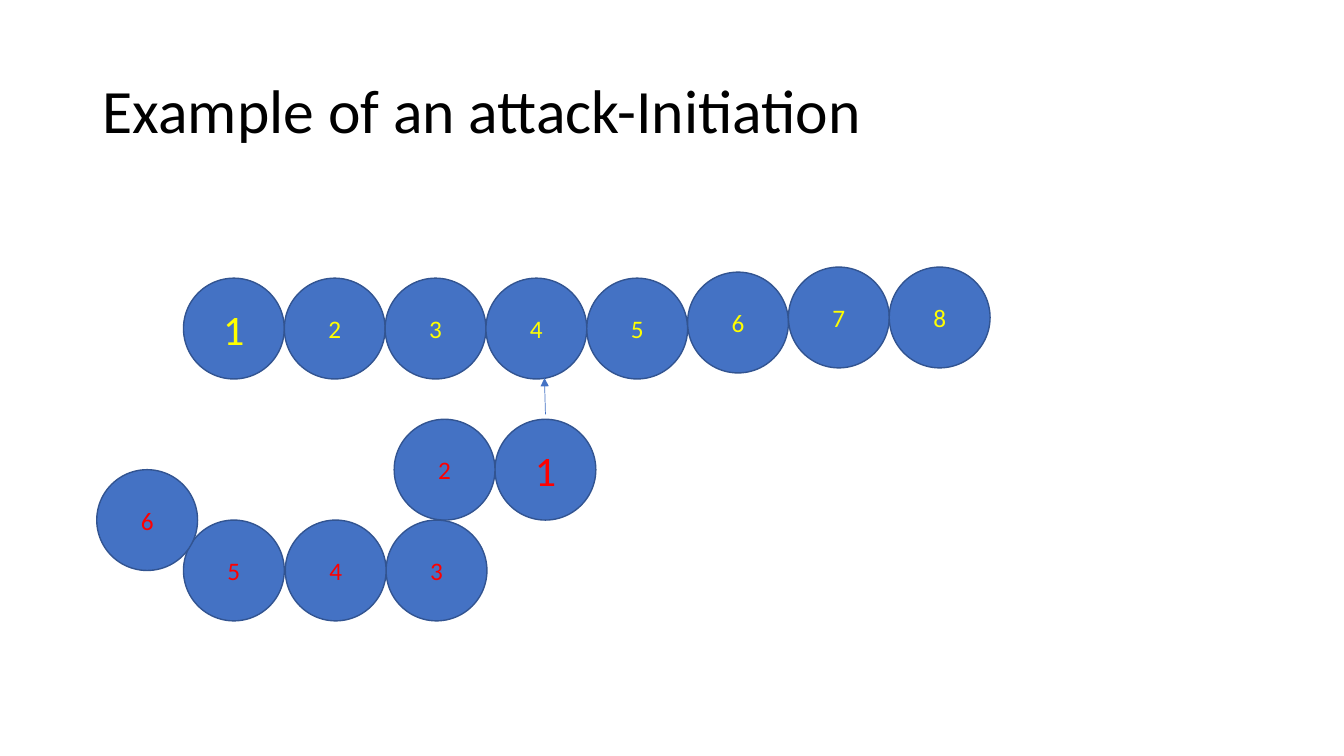
from lxml.etree import SubElement
from pptx import Presentation
from pptx.dml.color import RGBColor
from pptx.enum.shapes import MSO_CONNECTOR, MSO_SHAPE
from pptx.enum.text import MSO_ANCHOR, PP_ALIGN
from pptx.oxml.ns import qn
from pptx.util import Pt

EMU_PER_PX = 9144  # 100 px to the inch
DIAMETER = 100
COLOURS = {
    "title": "000000",
    "disc": "4472C4",
    "outline": "325491",
    "defender": "FFFF00",
    "attacker": "FF0000",
}
# (left, top) of each disc, in the order of its number
DEFENDERS = [(182 + 100 * step, top)
             for step, top in enumerate([276, 276, 276, 276, 276, 270, 265, 265])]
ATTACKERS = [(491, 416), (391, 416), (383, 516), (283, 516), (182, 516), (96, 466)]


def px(*lengths):
    return [length * EMU_PER_PX for length in lengths]


def colour(name):
    return RGBColor.from_string(COLOURS[name])


def write(shape, text, *, size, ink, align=PP_ALIGN.LEFT, line_spacing=1.0):
    frame = shape.text_frame
    frame.word_wrap = True
    frame.vertical_anchor = MSO_ANCHOR.MIDDLE
    para = frame.paragraphs[0]
    para.alignment = align
    para.line_spacing = line_spacing
    span = para.add_run()
    span.text = text
    span.font.name = "Calibri"
    span.font.size = Pt(size)
    span.font.color.rgb = colour(ink)


def add_title(page, text):
    box = page.shapes.add_textbox(*px(92, 40, 1150, 145))
    write(box, text, size=44, ink="title", line_spacing=0.9)


def add_disc(page, left, top, number, ink):
    disc = page.shapes.add_shape(MSO_SHAPE.OVAL, *px(left, top, DIAMETER, DIAMETER))
    disc.shadow.inherit = False
    disc.fill.solid()
    disc.fill.fore_color.rgb = colour("disc")
    disc.line.color.rgb = colour("outline")
    disc.line.width = Pt(1)
    write(disc, str(number), size=30 if number == 1 else 18, ink=ink,
          align=PP_ALIGN.CENTER)


def add_chain(page, places, ink):
    """Draw numbered discs, the first of which leads with a larger number."""
    for number, (left, top) in enumerate(places, start=1):
        add_disc(page, left, top, number, ink)


def add_arrow(page, start, end):
    arrow = page.shapes.add_connector(MSO_CONNECTOR.STRAIGHT, *px(*start, *end))
    arrow.line.color.rgb = colour("disc")
    arrow.line.width = Pt(0.5)
    SubElement(arrow.line._get_or_add_ln(), qn("a:tailEnd"), type="triangle")
    SubElement(arrow._element.spPr, qn("a:effectLst"))


def main():
    deck = Presentation()
    deck.slide_width, deck.slide_height = px(1333, 750)
    page = deck.slides.add_slide(deck.slide_layouts[6])
    add_title(page, "Example of an attack-Initiation")
    add_chain(page, DEFENDERS, "defender")
    add_chain(page, ATTACKERS, "attacker")
    add_arrow(page, (541, 411), (540, 375))
    deck.save("out.pptx")


if __name__ == "__main__":
    main()
